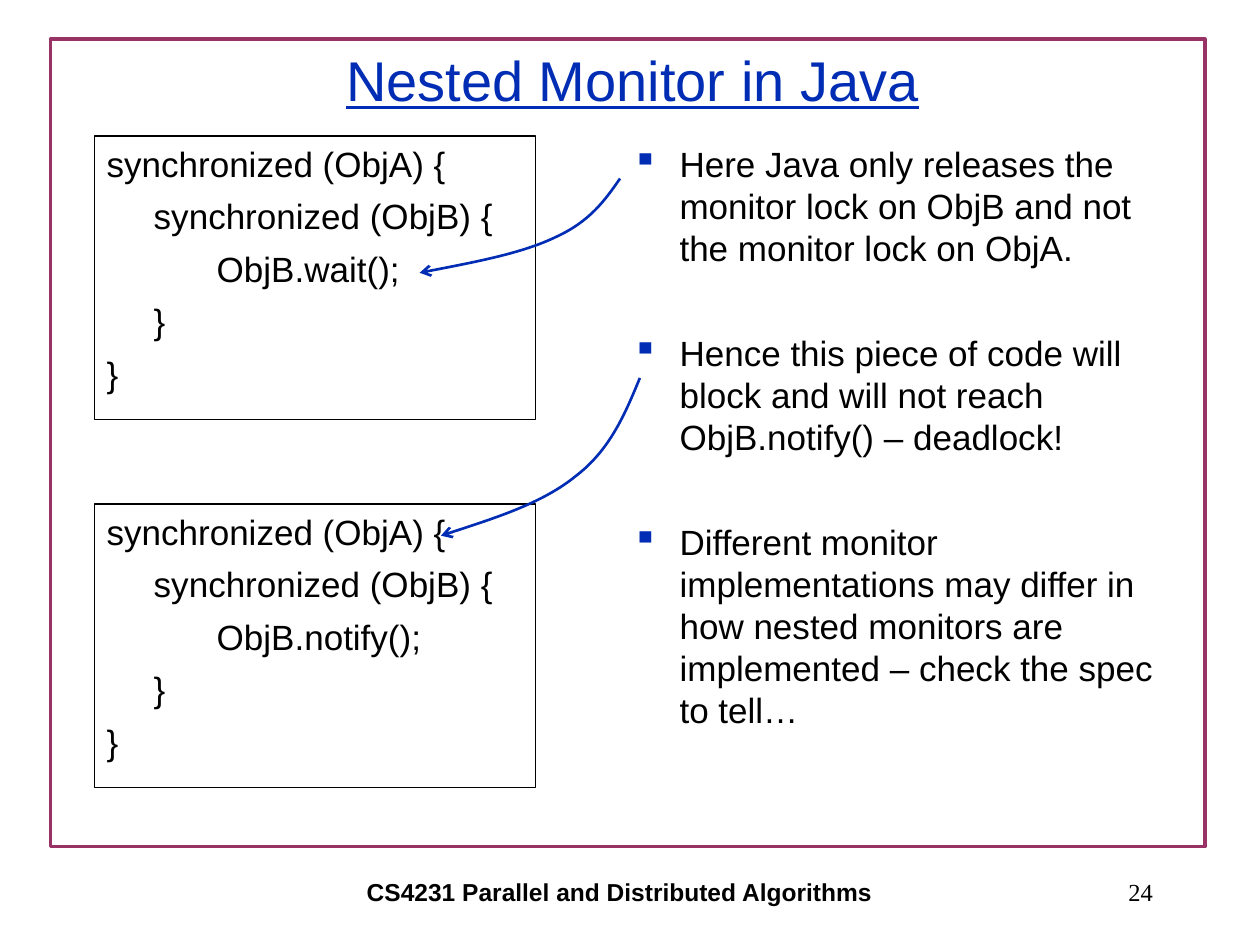
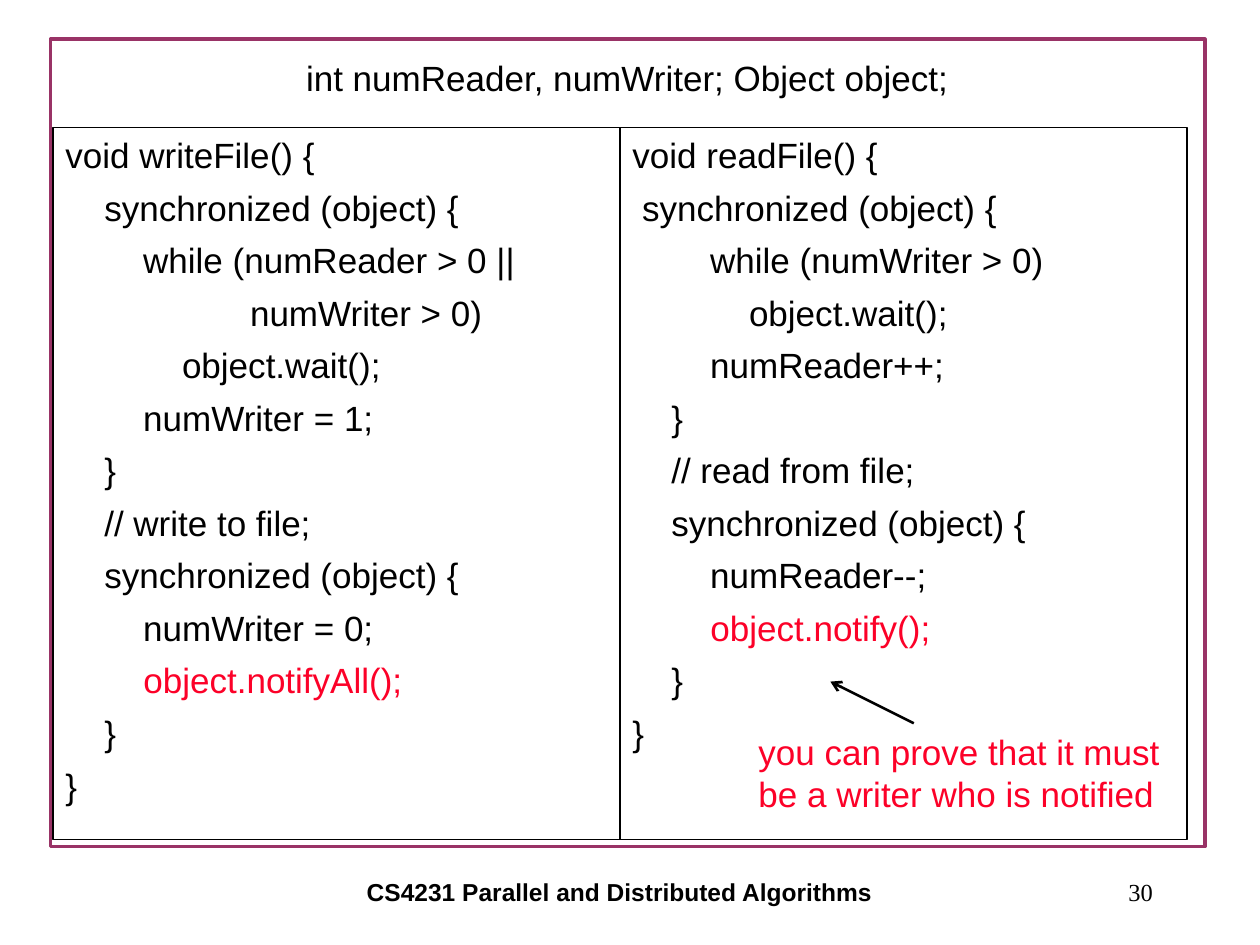
from dataclasses import dataclass

from lxml import etree
from pptx import Presentation
from pptx import util as u
from pptx.dml.color import RGBColor
from pptx.enum import shapes, text
from pptx.oxml import ns


@dataclass(frozen=True)
class Theme:
    font: str = "Arial"
    number_font: str = "Times New Roman"
    blue: str = "002DB4"
    plum: str = "993366"
    red: str = "FC0128"
    black: str = "000000"
    title_size: int = 32
    body_size: int = 20
    footer_size: int = 14
    space_before: int = 6
    bullet_gap: int = 36
    line_spacing: float = 1.0


@dataclass(frozen=True)
class Box:
    """Position and size in centimetres."""
    left: float
    top: float
    width: float
    height: float

    def lengths(self) -> tuple:
        return tuple(u.Cm(v) for v in (self.left, self.top, self.width, self.height))


@dataclass(frozen=True)
class CodeBox:
    box: Box
    code: str
    highlight: str = ""
    hanging: float = 0


@dataclass(frozen=True)
class CurvedArrow:
    start: tuple[float, float]
    end: tuple[float, float]


THEME = Theme()
FOOTER = "CS4231 Parallel and Distributed Algorithms"
FRAME = Box(1.02, 0.79, 23.27, 16.28)
TITLE = Box(1.96, 0.43, 21.59, 2.34)
FOOTER_BOX = Box(3.6, 17.35, 17.78, 1.27)
NUMBER_BOX = Box(18.21, 17.35, 5.28, 1.27)
HANGING = 0.95
# Start, then two Bezier segments, as shares of the arrow's width and height
CURVE = ((0, 0), (0.075, 0.23), (0.15, 0.455), (0.32, 0.62),
         (0.485, 0.79), (0.745, 0.895), (1, 1))

# Slide contents
NESTED_CODE = """synchronized (ObjA) {
\tsynchronized (ObjB) {
\t\tObjB.%s();
\t}
}"""
NESTED_BOXES = [
    CodeBox(Box(1.9, top, 8.89, 5.72), NESTED_CODE % call, hanging=HANGING)
    for top, call in ((2.74, "wait"), (10.16, "notify"))
]
NESTED_POINTS = """Here Java only releases the monitor lock on ObjB and not the monitor lock on ObjA.
Hence this piece of code will block and will not reach ObjB.notify() – deadlock!
Different monitor implementations may differ in how nested monitors are implemented – check the spec to tell…"""
NESTED_ARROWS = [
    CurvedArrow((12.5, 3.6), (8.46, 5.5)),
    CurvedArrow((12.9, 7.62), (8.89, 10.8)),
]
READ_CODE = """void readFile() {
 synchronized (object) {
        while (numWriter > 0)
            object.wait();
        numReader++;
    }
    // read from file;
    synchronized (object) {
        numReader--;
        object.notify();
    }
}"""
WRITE_CODE = """void writeFile() {
    synchronized (object) {
        while (numReader > 0 ||
                   numWriter > 0)
            object.wait();
        numWriter = 1;
    }
    // write to file;
    synchronized (object) {
        numWriter = 0;
        object.notifyAll();
    }
}"""
FILE_BOXES = [
    CodeBox(Box(12.5, 2.57, 11.43, 14.35), READ_CODE, "object.notify();"),
    CodeBox(Box(1.07, 2.57, 11.43, 14.35), WRITE_CODE, "object.notifyAll();"),
]


# Text
def format_font(font, *, size: int, color: str, name: str = THEME.font,
                bold: bool = False, underline: bool = False) -> None:
    font.name, font.size = name, u.Pt(size)
    font.bold, font.underline = bold, underline
    font.color.rgb = RGBColor.from_string(color)


def set_indent(paragraph, hanging: float, bullet: bool) -> None:
    properties = paragraph._p.get_or_add_pPr()
    properties.set("marL", str(u.Cm(hanging)))
    properties.set("indent", str(-u.Cm(hanging)))
    if bullet:
        color = etree.SubElement(properties, ns.qn("a:buClr"))
        etree.SubElement(color, ns.qn("a:srgbClr"), val=THEME.blue)
        etree.SubElement(properties, ns.qn("a:buChar"), char="▪")


def write_text(shape, content: str, *, size: int = THEME.body_size,
               color: str = THEME.black, name: str = THEME.font,
               bold: bool = False, underline: bool = False,
               align=text.PP_ALIGN.LEFT, anchor=text.MSO_ANCHOR.TOP,
               wrap: bool = True, before: int = THEME.space_before,
               hanging: float = 0, bullet: bool = False, highlight: str = "") -> None:
    frame = shape.text_frame
    frame.word_wrap, frame.vertical_anchor = wrap, anchor
    for index, line in enumerate(content.split("\n")):
        paragraph = frame.add_paragraph() if index else frame.paragraphs[0]
        if hanging:
            set_indent(paragraph, hanging, bullet)
        paragraph.alignment = align
        paragraph.line_spacing = THEME.line_spacing
        if index:
            paragraph.space_before = u.Pt(before)
        plain = line.removesuffix(highlight)
        marked = line[len(plain):]
        for part, part_color in ((plain, color), (marked, THEME.red)):
            if part:
                run = paragraph.add_run()
                run.text = part
                format_font(run.font, size=size, color=part_color, name=name,
                            bold=bold, underline=underline)


def add_text(slide, box: Box, content: str, **formatting) -> None:
    write_text(slide.shapes.add_textbox(*box.lengths()), content, **formatting)


# Shapes and arrows
def add_outline(slide, box: Box, color: str, width: float):
    shape = slide.shapes.add_shape(shapes.MSO_SHAPE.RECTANGLE, *box.lengths())
    shape.shadow.inherit = False
    shape.fill.background()
    shape.line.color.rgb = RGBColor.from_string(color)
    shape.line.width = u.Pt(width)
    return shape


def add_code(slide, item: CodeBox) -> None:
    shape = add_outline(slide, item.box, THEME.black, 0.75)
    write_text(shape, item.code, hanging=item.hanging, highlight=item.highlight)


def format_arrow(shape, color: str) -> None:
    shape.line.color.rgb = RGBColor.from_string(color)
    shape.line.width = u.Pt(1.5)
    etree.SubElement(shape.line._get_or_add_ln(), ns.qn("a:tailEnd"), type="arrow")


def add_curved_arrow(slide, arrow: CurvedArrow) -> None:
    (x1, y1), (x2, y2) = arrow.start, arrow.end
    points = [(u.Cm(x1 + (x2 - x1) * across), u.Cm(y1 + (y2 - y1) * down))
              for across, down in CURVE]
    builder = slide.shapes.build_freeform(*points[0])
    builder.add_line_segments(points[1:], close=False)
    shape = builder.convert_to_shape()
    # Join each three straight segments into one Bezier segment
    segments = list(shape._element.iter(ns.qn("a:lnTo")))
    for first in range(0, len(segments), 3):
        group = segments[first:first + 3]
        bezier = etree.Element(ns.qn("a:cubicBezTo"))
        group[0].addprevious(bezier)
        for segment in group:
            bezier.append(segment[0])
            segment.getparent().remove(segment)
    shape.shadow.inherit = False
    shape.fill.background()
    format_arrow(shape, THEME.blue)


def add_straight_arrow(slide, start: tuple[float, float], end: tuple[float, float]) -> None:
    ends = [u.Cm(value) for value in (*start, *end)]
    connector = slide.shapes.add_connector(shapes.MSO_CONNECTOR.STRAIGHT, *ends)
    format_arrow(connector, THEME.black)
    etree.SubElement(connector._element.spPr, ns.qn("a:effectLst"))


# Slides
def add_slide(presentation, layout: int, number: int, title: str = ""):
    slide = presentation.slides.add_slide(presentation.slide_layouts[layout])
    add_outline(slide, FRAME, THEME.plum, 2)
    if title:
        shape = slide.shapes.title
        shape.left, shape.top, shape.width, shape.height = TITLE.lengths()
        write_text(shape, title, size=THEME.title_size, color=THEME.blue, underline=True,
                   align=text.PP_ALIGN.CENTER, anchor=text.MSO_ANCHOR.MIDDLE)
    footer = {"size": THEME.footer_size, "anchor": text.MSO_ANCHOR.MIDDLE}
    add_text(slide, FOOTER_BOX, FOOTER, bold=True, align=text.PP_ALIGN.CENTER, **footer)
    add_text(slide, NUMBER_BOX, str(number), name=THEME.number_font,
             align=text.PP_ALIGN.RIGHT, **footer)
    return slide


def add_nested_monitor(presentation) -> None:
    slide = add_slide(presentation, 5, 24, "Nested Monitor in Java")
    add_text(slide, Box(12.5, 2.74, 11, 12.98), NESTED_POINTS,
             hanging=HANGING, bullet=True, before=THEME.bullet_gap)
    for item in NESTED_BOXES:
        add_code(slide, item)
    for arrow in NESTED_ARROWS:
        add_curved_arrow(slide, arrow)


def add_reader_writer(presentation) -> None:
    slide = add_slide(presentation, 6, 30)
    add_text(slide, Box(5.92, 1.02, 13.46, 1.09),
             "int numReader, numWriter; Object object;", wrap=False)
    for item in FILE_BOXES:
        add_code(slide, item)
    add_straight_arrow(slide, (18.42, 14.58), (16.74, 13.74))
    add_text(slide, Box(15.04, 14.6, 9.32, 1.96),
             "you can prove that it must be a writer who is notified", color=THEME.red)


def main() -> None:
    presentation = Presentation()
    presentation.slide_width, presentation.slide_height = u.Cm(25.4), u.Cm(19.05)
    add_nested_monitor(presentation)
    add_reader_writer(presentation)
    presentation.save("out.pptx")


if __name__ == "__main__":
    main()
